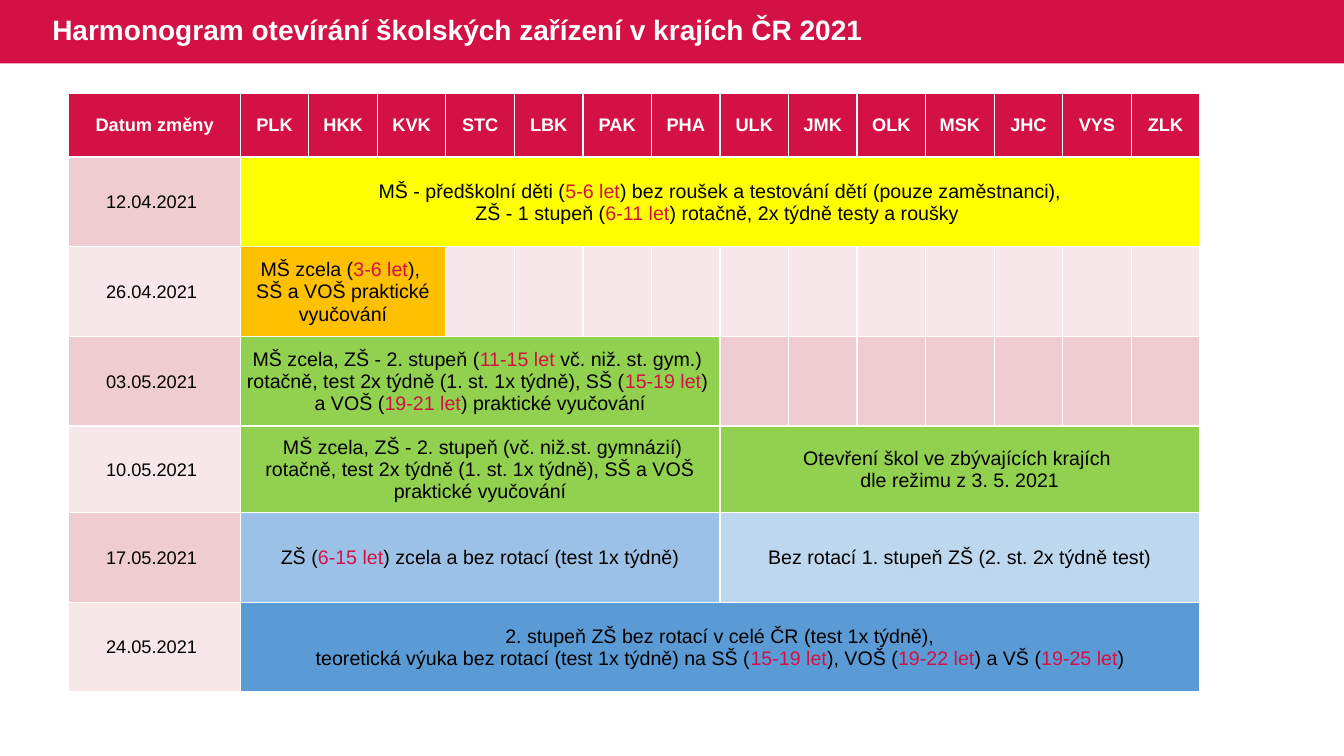
from pptx import Presentation
from pptx.dml.color import RGBColor
from pptx.enum.shapes import MSO_SHAPE as Shape
from pptx.enum.text import MSO_ANCHOR as Anchor, PP_ALIGN as Align
from pptx.oxml import parse_xml
from pptx.oxml.ns import nsdecls
from pptx.util import Pt

CRIMSON, WHITE, BLACK = "D31145", "FFFFFF", "000000"
DARK_ROW, LIGHT_ROW = "EFCCCF", "F7E7E9"
YELLOW, ORANGE, GREEN = "FFFF00", "FFC000", "92D050"
BLUE, MID_BLUE, PALE_BLUE = "5B9BD5", "9BC2E6", "BDD7EE"

REGIONS = "PLK HKK KVK STC LBK PAK PHA ULK JMK OLK MSK JHC VYS ZLK".split()
ROW_HEIGHTS = [46, 64, 64, 64, 62, 64, 64]
DATE_WIDTH, REGION_WIDTH = 122.4, 48.96

SCHEDULE = [
    ("12.04.2021", [
        (14, YELLOW, ["MŠ - předškolní děti ({5-6 let}) bez roušek a testování dětí (pouze zaměstnanci),\n"
                      "ZŠ - 1 stupeň ({6-11 let}) rotačně, 2x týdně testy a roušky "])]),
    ("26.04.2021", [
        (3, ORANGE, ["MŠ zcela ({3-6 let}), \nSŠ a VOŠ praktické vyučování"])]),
    ("03.05.2021", [
        (7, GREEN, ["MŠ zcela, ZŠ - 2. stupeň ({11-15 let }vč. niž. st. gym.) ",
                    "rotačně, test 2x týdně (1. st. 1x týdně), SŠ ({15-19 let}) \n"
                    "a VOŠ ({19-21 let}) praktické vyučování"])]),
    ("10.05.2021", [
        (7, GREEN, [" MŠ zcela, ZŠ - 2. stupeň (vč. niž.st. gymnázií) rotačně, "
                    "test 2x týdně (1. st. 1x týdně), SŠ a VOŠ praktické vyučování"]),
        (7, GREEN, ["Otevření škol ve zbývajících krajích \ndle režimu z 3. 5. 2021"])]),
    ("17.05.2021", [
        (7, MID_BLUE, ["ZŠ ({6-15 let}) zcela a bez rotací (test 1x týdně)"]),
        (7, PALE_BLUE, ["Bez rotací 1. stupeň ZŠ (2. st. 2x týdně test)"])]),
    ("24.05.2021", [
        (14, BLUE, ["2. stupeň ZŠ bez rotací v celé ČR (test 1x týdně),\n"
                    "teoretická výuka bez rotací (test 1x týdně) na SŠ ({15-19 let}), "
                    "VOŠ ({19-22 let}) a VŠ ({19-25 let})"])]),
]


def paint(fill, color):
    fill.solid()
    fill.fore_color.rgb = RGBColor.from_string(color)


def write(frame, paragraphs, size=14, color=BLACK, bold=False, align=Align.CENTER, spacing=None):
    for index, text in enumerate(paragraphs):
        paragraph = frame.add_paragraph() if index else frame.paragraphs[0]
        paragraph.alignment = align
        paragraph.line_spacing = spacing
        for part, piece in enumerate(text.replace("}", "{").split("{")):
            for line_number, line in enumerate(piece.split("\n")):
                if line_number:
                    paragraph.add_line_break()
                if not line:
                    continue
                run = paragraph.add_run()
                run.text = line
                run.font.name = "Arial"
                run.font.size = Pt(size)
                run.font.bold = bold
                run.font.color.rgb = RGBColor.from_string(CRIMSON if part % 2 else color)


def add_borders(cell, top, bottom):
    for side, width in (("L", 1), ("R", 1), ("T", top), ("B", bottom)):
        cell._tc.get_or_add_tcPr().append(parse_xml(
            f'<a:ln{side} {nsdecls("a")} w="{Pt(width)}"><a:solidFill>'
            f'<a:srgbClr val="{WHITE}"/></a:solidFill></a:ln{side}>'))


def style_cell(cell, color, top=1, bottom=1, right=0.72):
    cell.vertical_anchor = Anchor.MIDDLE
    cell.margin_left = cell.margin_top = Pt(0.72)
    cell.margin_right, cell.margin_bottom = Pt(right), Pt(0)
    add_borders(cell, top, bottom)
    paint(cell.fill, color)


def add_header(slide, width):
    band = slide.shapes.add_shape(Shape.RECTANGLE, 0, 0, width, Pt(45.36))
    band.shadow.inherit = False
    paint(band.fill, CRIMSON)
    band.line.fill.background()
    title = slide.shapes.add_textbox(Pt(30.24), 0, Pt(699), Pt(45.36))
    frame = title.text_frame
    frame.word_wrap = True
    frame.vertical_anchor = Anchor.MIDDLE
    write(frame, ["Harmonogram otevírání školských zařízení v krajích ČR 2021"],
          size=20, color=WHITE, bold=True, align=Align.LEFT, spacing=0.9)


def add_schedule(slide):
    widths = [DATE_WIDTH] + [REGION_WIDTH] * len(REGIONS)
    table = slide.shapes.add_table(len(ROW_HEIGHTS), len(widths), Pt(49.2), Pt(66.4),
                                   Pt(sum(widths)), Pt(sum(ROW_HEIGHTS))).table
    table.first_row = table.horz_banding = False
    for column, width in zip(table.columns, widths):
        column.width = Pt(width)
    for row, height in zip(table.rows, ROW_HEIGHTS):
        row.height = Pt(height)
    for column, label in enumerate(["Datum změny"] + REGIONS):
        cell = table.cell(0, column)
        style_cell(cell, CRIMSON, bottom=1.5)
        write(cell.text_frame, [label], size=13, color=WHITE, bold=True)
    for row, (date, phases) in enumerate(SCHEDULE, start=1):
        add_schedule_row(table, row, date, phases)


def add_schedule_row(table, row, date, phases):
    row_color = DARK_ROW if row % 2 else LIGHT_ROW
    top = 1.5 if row == 1 else 1
    date_cell = table.cell(row, 0)
    style_cell(date_cell, row_color, top=top, right=5.04)
    write(date_cell.text_frame, [date], size=13)
    column = 1
    for span, color, paragraphs in phases:
        cell = table.cell(row, column)
        cell.merge(table.cell(row, column + span - 1))
        style_cell(cell, color, top=top)
        write(cell.text_frame, paragraphs)
        column += span
    for empty in range(column, len(REGIONS) + 1):
        style_cell(table.cell(row, empty), row_color)


def main():
    presentation = Presentation()
    presentation.slide_width, presentation.slide_height = Pt(960), Pt(540)
    slide = presentation.slides.add_slide(presentation.slide_layouts[6])
    add_header(slide, presentation.slide_width)
    add_schedule(slide)
    presentation.save("out.pptx")


if __name__ == "__main__":
    main()
